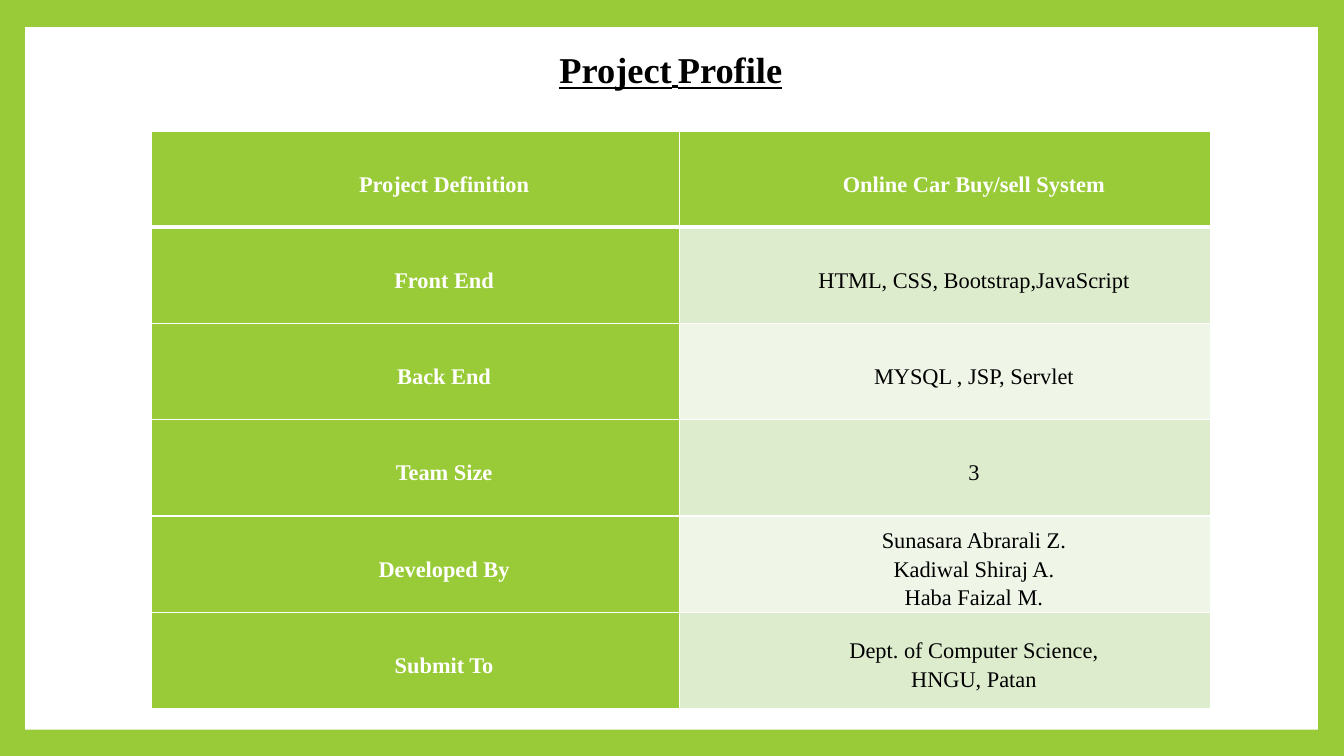
from lxml.etree import SubElement
from pptx import Presentation
from pptx.dml.color import RGBColor
from pptx.enum.shapes import MSO_SHAPE
from pptx.enum.text import MSO_ANCHOR, PP_ALIGN
from pptx.oxml.ns import qn
from pptx.util import Inches, Pt

GREEN = RGBColor(0x99, 0xCB, 0x38)
PALE_GREEN = RGBColor(0xDE, 0xEC, 0xCE)
PALEST_GREEN = RGBColor(0xEF, 0xF6, 0xE8)
WHITE = RGBColor(0xFF, 0xFF, 0xFF)
BLACK = RGBColor(0x00, 0x00, 0x00)

PROFILE = [
    ("Project Definition", ["Online Car Buy/sell System"]),
    ("Front End", ["HTML, CSS, Bootstrap,JavaScript"]),
    ("Back End", ["MYSQL , JSP, Servlet"]),
    ("Team Size", ["3"]),
    ("Developed By", ["Sunasara Abrarali Z.", "Kadiwal Shiraj A.", "Haba Faizal M."]),
    ("Submit To", ["Dept. of Computer Science,", "HNGU, Patan"]),
]
CELL_FORMAT = {
    "vertical_anchor": MSO_ANCHOR.MIDDLE,
    "margin_left": Inches(0.07),
    "margin_top": Inches(0.07),
    "margin_right": 0,
    "margin_bottom": 0,
}


def add_border(cell, side, points):
    """Draw a white line on one side (L, R, T or B); call before setting the fill."""
    line = SubElement(cell._tc.get_or_add_tcPr(), qn(f"a:ln{side}"), w=str(Pt(points)))
    fill = SubElement(line, qn("a:solidFill"))
    SubElement(fill, qn("a:srgbClr"), val=str(WHITE))


def write_run(paragraph, text, font_format, color):
    run = paragraph.add_run()
    run.text = text
    for name, value in font_format.items():
        setattr(run.font, name, value)
    run.font.color.rgb = color


prs = Presentation()
prs.slide_width, prs.slide_height = Inches(13.33), Inches(7.5)
slide = prs.slides.add_slide(prs.slide_layouts[6])
slide.background.fill.solid()
slide.background.fill.fore_color.rgb = GREEN

page = slide.shapes.add_shape(
    MSO_SHAPE.RECTANGLE, Inches(0.25), Inches(0.27), Inches(12.82), Inches(6.97))
page.shadow.inherit = False
page.fill.solid()
page.fill.fore_color.rgb = WHITE
page.line.fill.background()

# Profile table
profile = slide.shapes.add_table(
    len(PROFILE), 2, Inches(1.5), Inches(1.3), Inches(10.51), Inches(5.73)).table
profile.columns[0].width = Inches(5.24)
profile.columns[1].width = Inches(5.27)

for row, (label, details) in enumerate(PROFILE):
    for column, lines in enumerate([[label], details]):
        cell = profile.cell(row, column)
        for name, value in CELL_FORMAT.items():
            setattr(cell, name, value)

        heading = row == 0 or column == 0
        borders = {"L": 1, "R": 1, "T": 3 if row == 1 else 1, "B": 3 if row == 0 else 1}
        for side, points in borders.items():
            add_border(cell, side, points)
        cell.fill.solid()
        band = PALE_GREEN if row % 2 else PALEST_GREEN
        cell.fill.fore_color.rgb = GREEN if heading else band

        font_format = {"name": "Times New Roman", "size": Pt(16), "bold": heading}
        for index, line in enumerate(lines):
            frame = cell.text_frame
            paragraph = frame.add_paragraph() if index else frame.paragraphs[0]
            paragraph.alignment = PP_ALIGN.CENTER
            paragraph.line_spacing = 1.15
            paragraph._p.get_or_add_pPr().set("marL", str(Inches(0.5)))
            write_run(paragraph, line, font_format, WHITE if heading else BLACK)

# Title
title = slide.shapes.add_textbox(Inches(5.45), Inches(0.42), Inches(2.76), Inches(0.59))
title.text_frame.word_wrap = True
title_word = {"name": "Times New Roman", "size": Pt(26), "bold": True, "underline": True}
title_gap = {"name": "Calibri", "size": Pt(18), "bold": False, "underline": True}
for text, font_format in [("Project", title_word), (" ", title_gap), ("Profile", title_word)]:
    write_run(title.text_frame.paragraphs[0], text, font_format, BLACK)

prs.save("out.pptx")
